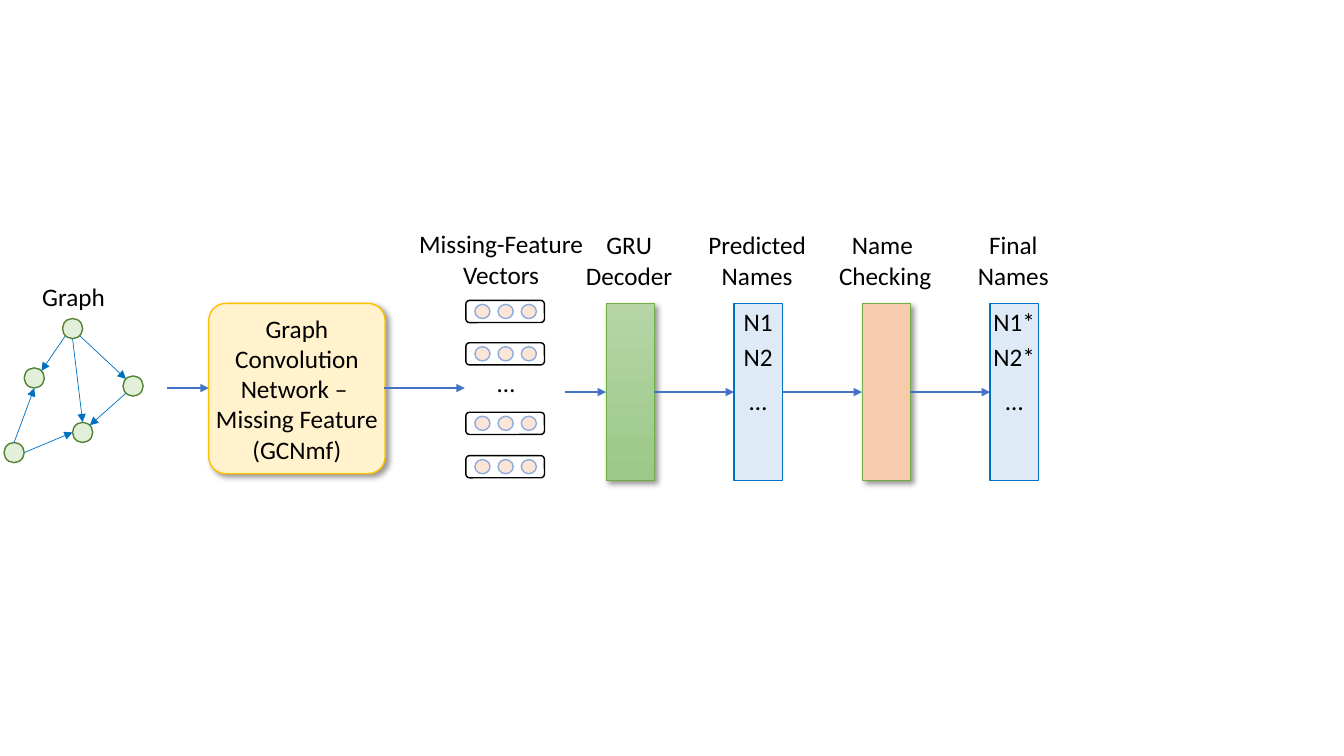
import math

import lxml.etree
import pptx
import pptx.dml.color
import pptx.enum.shapes
import pptx.enum.text
import pptx.oxml.ns
import pptx.util

Inches = pptx.util.Inches
SHAPES = pptx.enum.shapes.MSO_SHAPE
FONT, FONT_SIZE, BLACK = "Calibri", 18, "000000"
BLUE, FLOW_BLUE, GREEN = "0070C0", "4472C4", "70AD47"

# Graph: node corners, and edges as (from, side angle, to, side angle)
NODE_SIZE = 0.2
NODES = {"top": (0.62, 3.16), "left": (0.24, 3.65), "middle": (0.72, 4.19),
         "right": (1.22, 3.73), "low": (0.04, 4.39)}
EDGES = [("top", 135, "left", -45), ("top", 90, "middle", -90),
         ("top", 45, "right", -135), ("right", 135, "middle", -45),
         ("low", 0, "middle", 180), ("low", -90, "left", 90)]

NETWORK = ["Graph", "Convolution", "Network – ", "Missing Feature", "(GCNmf)"]

# Feature vectors: one row per top edge
VECTOR_LEFT, VECTOR_TOPS = 4.62, [2.98, 3.4, 4.09, 4.52]
DOTS, DOT_PITCH = 3, 0.23

# Panels: heading, fill, line colour, line width, shadow, names inside
PANELS = [
    (["GRU", "Decoder"], ("B5D5A7", "9CC987"), GREEN, 0.5, True, []),
    (["Predicted", "Names"], "DEEBF7", BLUE, 1, False, ["N1", "N2", "…"]),
    (["Name ", "Checking"], "F8CBAD", GREEN, 0.5, True, []),
    (["Final", "Names"], "DEEBF7", BLUE, 1, False, ["N1*", "N2*", "…"]),
]
PANEL_LEFT, PANEL_TOP, PANEL_PITCH = 6.01, 3.01, 1.27
PANEL_WIDTH, PANEL_HEIGHT = 0.48, 1.76
NAME_TOPS = [2.99, 3.34, 3.77]

# Flow before the panels: start x, end x, y
FLOW = [(1.66, 2.07, 3.85), (3.81, 4.61, 3.85), (5.6, 6.01, 3.89)]


def rgb(colour):
    """Turn a hex string into a colour."""
    return pptx.dml.color.RGBColor.from_string(colour)


def add_child(parent, tag, **attributes):
    """Append a drawing element with attributes."""
    values = {name: str(value) for name, value in attributes.items()}
    return lxml.etree.SubElement(parent, pptx.oxml.ns.qn(tag), values)


def write(shape, lines):
    """Fill a shape with centred lines of text."""
    frame = shape.text_frame
    frame.text = "\n".join(lines)
    for paragraph in frame.paragraphs:
        paragraph.alignment = pptx.enum.text.PP_ALIGN.CENTER
        for run in paragraph.runs:
            run.font.name = FONT
            run.font.size = pptx.util.Pt(FONT_SIZE)
            run.font.color.rgb = rgb(BLACK)


def add_label(lines, centre, top, width=1.2):
    """Add unwrapped text centred on a given x."""
    height = 0.1 + 0.3 * len(lines)
    label = slide.shapes.add_textbox(Inches(centre - width / 2), Inches(top),
                                     Inches(width), Inches(height))
    label.text_frame.word_wrap = False
    write(label, lines)


def add_box(kind, left, top, width, height, fill, line, weight=1, shadow=False):
    """Add a shape; fill is None, one colour or a pair for a gradient."""
    box = slide.shapes.add_shape(kind, Inches(left), Inches(top),
                                 Inches(width), Inches(height))
    box.shadow.inherit = False
    if fill is None:
        box.fill.background()
    elif isinstance(fill, tuple):
        box.fill.gradient()
        box.fill.gradient_angle = 270
        for stop, colour in zip(box.fill.gradient_stops, fill):
            stop.color.rgb = rgb(colour)
    else:
        box.fill.solid()
        box.fill.fore_color.rgb = rgb(fill)
    box.line.color.rgb = rgb(line)
    box.line.width = pptx.util.Pt(weight)
    if shadow:
        effects = box._element.spPr.find(pptx.oxml.ns.qn("a:effectLst"))
        outer = add_child(effects, "a:outerShdw", blurRad=pptx.util.Pt(4),
                          dist=pptx.util.Pt(3), dir=45 * 60000, algn="tl", rotWithShape=0)
        add_child(add_child(outer, "a:srgbClr", val=BLACK), "a:alpha", val=40000)
    return box


def add_arrow(start, end, colour, weight):
    """Add a straight arrow between two points."""
    arrow = slide.shapes.add_connector(pptx.enum.shapes.MSO_CONNECTOR.STRAIGHT,
                                       *map(Inches, start + end))
    arrow.line.color.rgb = rgb(colour)
    arrow.line.width = pptx.util.Pt(weight)
    properties = arrow._element.spPr
    add_child(properties.find(pptx.oxml.ns.qn("a:ln")), "a:tailEnd", type="triangle")
    add_child(properties, "a:effectLst")


def node_side(node, angle):
    """Return the point on a node's rim, clockwise from its right side."""
    left, top = NODES[node]
    radius, turn = NODE_SIZE / 2, math.radians(angle)
    return (left + radius * (1 + math.cos(turn)), top + radius * (1 + math.sin(turn)))


presentation = pptx.Presentation()
presentation.slide_width, presentation.slide_height = Inches(13.33), Inches(7.5)
slide = presentation.slides.add_slide(presentation.slide_layouts[6])

add_label(["Graph"], 0.73, 2.74)
for left, top in NODES.values():
    add_box(SHAPES.OVAL, left, top, NODE_SIZE, NODE_SIZE, "E2F0D9", "548235")
for source, source_angle, target, target_angle in EDGES:
    add_arrow(node_side(source, source_angle), node_side(target, target_angle), BLUE, 0.5)

network = add_box(SHAPES.ROUNDED_RECTANGLE, 2.07, 3.01, 1.75, 1.69,
                  "FFF2CC", "FFC000", shadow=True)
network.adjustments[0] = 0.1
frame = network.text_frame
frame.margin_left = frame.margin_right = frame.margin_top = frame.margin_bottom = 0
frame.vertical_anchor = pptx.enum.text.MSO_ANCHOR.MIDDLE
write(network, NETWORK)

add_label(["Missing-Feature", "Vectors"], 4.97, 2.22, width=1.9)
add_label(["…"], 5.02, 3.59)
for top in VECTOR_TOPS:
    add_box(SHAPES.ROUNDED_RECTANGLE, VECTOR_LEFT, top, 0.78, 0.22, None, BLACK)
    for dot in range(DOTS):
        add_box(SHAPES.OVAL, VECTOR_LEFT + 0.09 + dot * DOT_PITCH, top + 0.04,
                0.15, 0.14, "FBE5D6", "8FAADC")

for index, (heading, fill, line, weight, shadow, names) in enumerate(PANELS):
    left = PANEL_LEFT + index * PANEL_PITCH
    centre = left + PANEL_WIDTH / 2
    add_box(SHAPES.RECTANGLE, left, PANEL_TOP, PANEL_WIDTH, PANEL_HEIGHT,
            fill, line, weight, shadow)
    add_label(heading, centre - 0.01, 2.23)
    for name, top in zip(names, NAME_TOPS):
        add_label([name], centre, top)

between_panels = [(PANEL_LEFT + index * PANEL_PITCH + PANEL_WIDTH,
                   PANEL_LEFT + (index + 1) * PANEL_PITCH, 3.89)
                  for index in range(len(PANELS) - 1)]
for start, end, y in FLOW + between_panels:
    add_arrow((start, y), (end, y), FLOW_BLUE, 1.5)

presentation.save("out.pptx")
